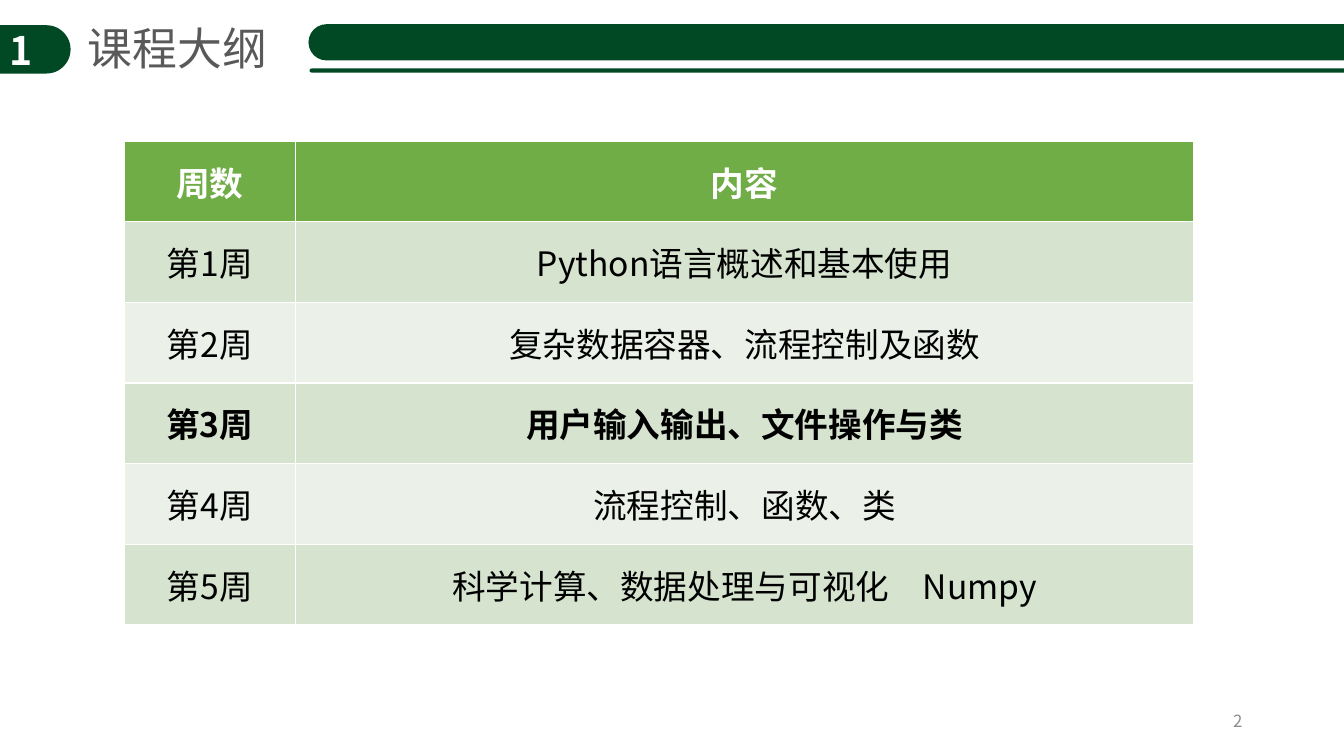
from dataclasses import dataclass

from lxml import etree
from pptx import Presentation
from pptx.dml.color import RGBColor
from pptx.enum.shapes import MSO_SHAPE
from pptx.enum.text import MSO_ANCHOR, MSO_AUTO_SIZE, PP_ALIGN
from pptx.oxml.ns import qn
from pptx.util import Emu, Pt

ROUNDED = MSO_SHAPE.ROUNDED_RECTANGLE
TOP, MIDDLE = MSO_ANCHOR.TOP, MSO_ANCHOR.MIDDLE
LEFT, CENTER, RIGHT = PP_ALIGN.LEFT, PP_ALIGN.CENTER, PP_ALIGN.RIGHT
GROW = MSO_AUTO_SIZE.SHAPE_TO_FIT_TEXT
EMU_PER_PX = 9144
TITLE_ONLY = 5


@dataclass(frozen=True)
class Theme:
    font: str = "Noto Sans CJK SC"
    dark_green: str = "014924"
    header_green: str = "70AD47"
    bands: tuple = ("D5E3CF", "EBF1E9")
    white: str = "FFFFFF"
    black: str = "000000"
    title_grey: str = "595959"
    number_grey: str = "8C8C8C"
    title_size: int = 32
    badge_size: int = 28
    table_size: int = 24
    number_size: int = 12


THEME = Theme()
CURRENT_WEEK = 3
COLUMN_WIDTHS = (170, 891)
ROW_HEIGHT = 80
HEADINGS = ("周数", "内容")
TOPICS = (
    "Python语言概述和基本使用",
    "复杂数据容器、流程控制及函数",
    "用户输入输出、文件操作与类",
    "流程控制、函数、类",
    "科学计算、数据处理与可视化　Numpy",
)


def px(length):
    return Emu(length * EMU_PER_PX)


def write(frame, text, size, color, bold=False, align=CENTER):
    frame.text = text
    paragraph = frame.paragraphs[0]
    paragraph.alignment = align
    font = paragraph.font
    font.size = Pt(size)
    font.bold = bold
    font.color.rgb = RGBColor.from_string(color)
    font.name = THEME.font
    defaults = paragraph._p.pPr.find(qn("a:defRPr"))
    etree.SubElement(defaults, qn("a:ea")).set("typeface", THEME.font)


def add_pill(slide, left, top, width, height):
    pill = slide.shapes.add_shape(ROUNDED, px(left), px(top), px(width), px(height))
    pill.adjustments[0] = 0.5
    pill.shadow.inherit = False
    pill.fill.solid()
    pill.fill.fore_color.rgb = RGBColor.from_string(THEME.dark_green)
    pill.line.fill.background()
    return pill


def set_title(slide, text, left, top, width, height):
    title = slide.shapes.title
    title.left, title.top = px(left), px(top)
    title.width, title.height = px(width), px(height)
    frame = title.text_frame
    frame.word_wrap = False
    frame.auto_size = GROW
    frame.vertical_anchor = TOP
    write(frame, text, THEME.title_size, THEME.title_grey, align=LEFT)


def add_page_number(slide, number, left, top, width, height):
    box = slide.shapes.add_textbox(px(left), px(top), px(width), px(height))
    frame = box.text_frame
    frame.word_wrap = True
    frame.vertical_anchor = MIDDLE
    write(frame, number, THEME.number_size, THEME.number_grey, align=RIGHT)


def fill_row(row, texts, fill, color, bold):
    row.height = px(ROW_HEIGHT)
    for cell, text in zip(row.cells, texts):
        cell.fill.solid()
        cell.fill.fore_color.rgb = RGBColor.from_string(fill)
        cell.vertical_anchor = MIDDLE
        write(cell.text_frame, text, THEME.table_size, color, bold)


def add_schedule(slide, left, top):
    row_count = len(TOPICS) + 1
    schedule = slide.shapes.add_table(
        row_count, len(HEADINGS), px(left), px(top),
        px(sum(COLUMN_WIDTHS)), px(ROW_HEIGHT * row_count),
    ).table
    for column, width in zip(schedule.columns, COLUMN_WIDTHS):
        column.width = px(width)
    fill_row(schedule.rows[0], HEADINGS, THEME.header_green, THEME.white, True)
    for week, topic in enumerate(TOPICS, start=1):
        band = THEME.bands[(week - 1) % len(THEME.bands)]
        fill_row(schedule.rows[week], (f"第{week}周", topic), band,
                 THEME.black, week == CURRENT_WEEK)


def main():
    deck = Presentation()
    deck.slide_width, deck.slide_height = px(1333), px(750)
    slide = deck.slides.add_slide(deck.slide_layouts[TITLE_ONLY])
    badge = add_pill(slide, -28, 25, 98, 48)
    badge.text_frame.vertical_anchor = MIDDLE
    write(badge.text_frame, "1", THEME.badge_size, THEME.white, bold=True)
    set_title(slide, "课程大纲", 77, 16, 200, 64)
    add_pill(slide, 306, 24, 1080, 36)
    add_pill(slide, 307, 68, 1080, 4)
    add_page_number(slide, "2", 942, 695, 300, 40)
    add_schedule(slide, 123, 140)
    deck.save("out.pptx")


if __name__ == "__main__":
    main()
